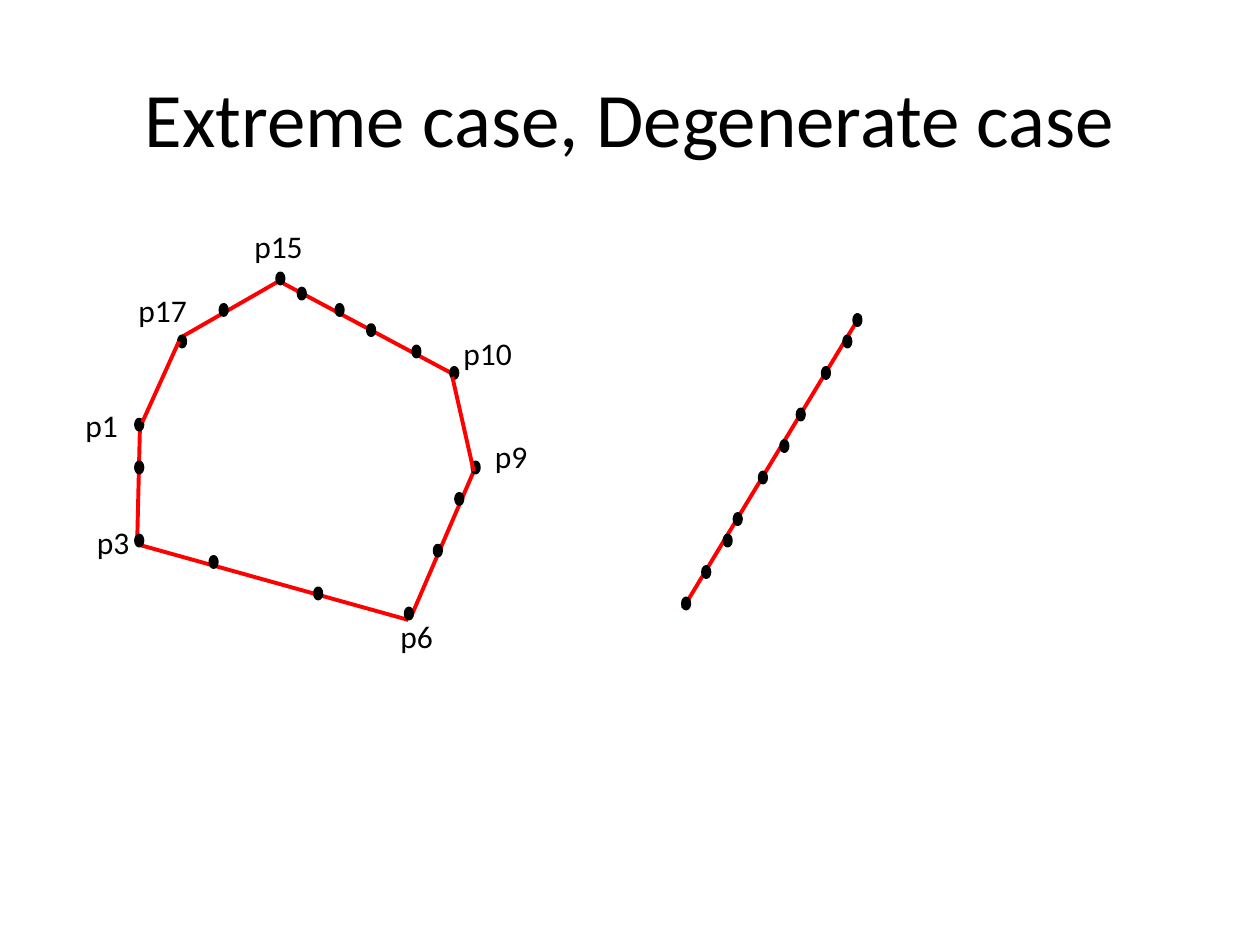
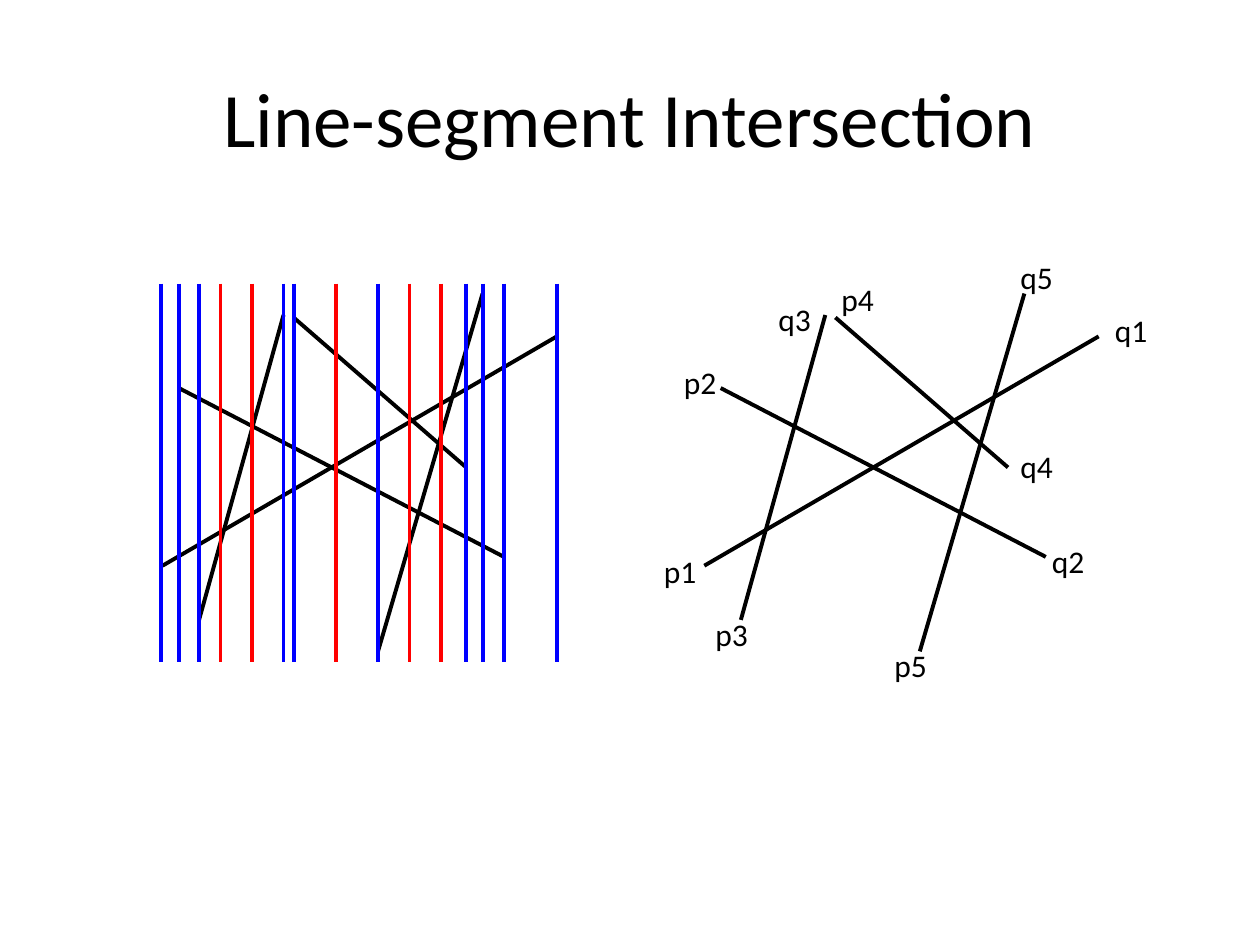
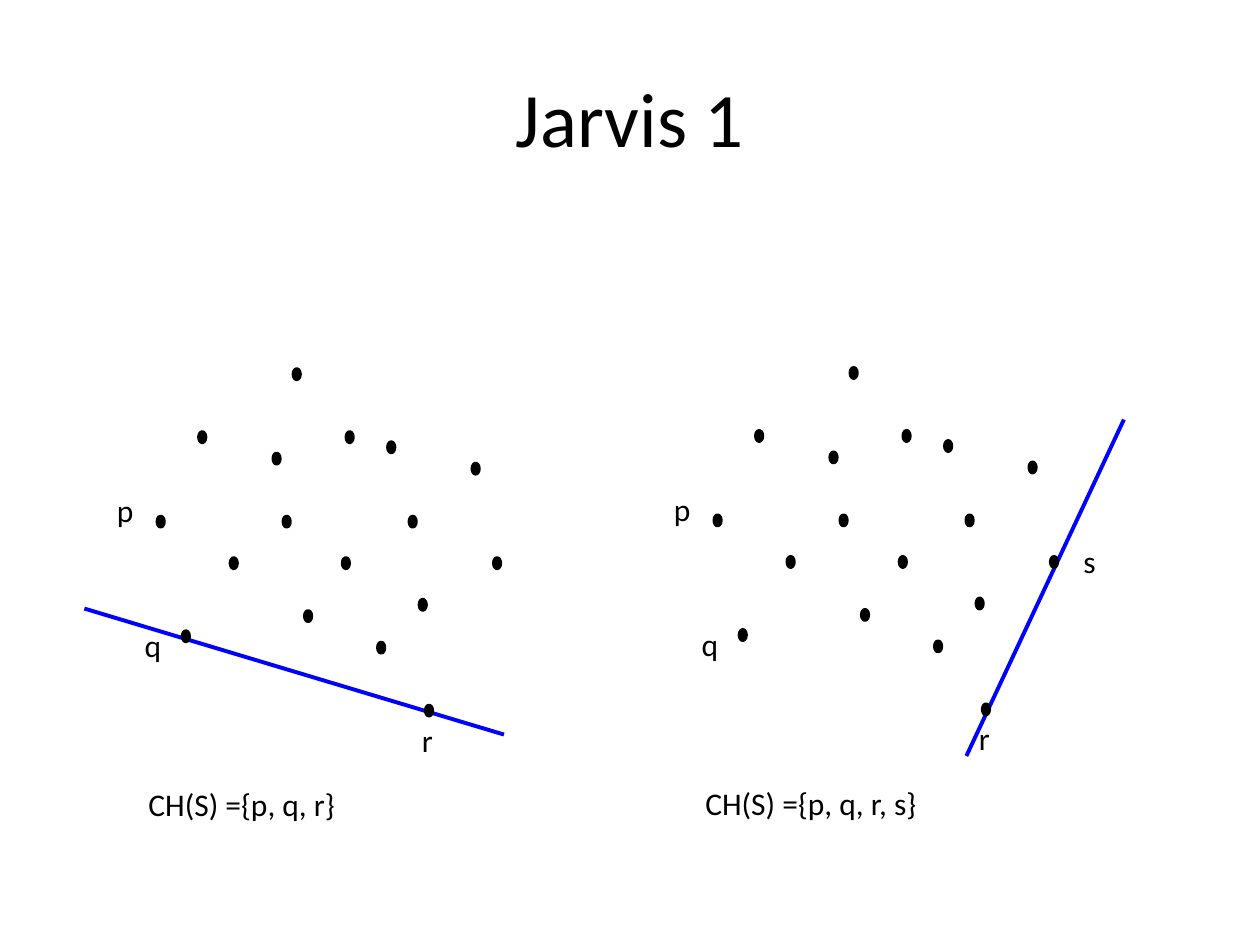
from lxml import etree
from pptx import Presentation
from pptx import util as u
from pptx.dml import color
from pptx.enum import shapes, text
from pptx.oxml import ns

BLACK, RED, BLUE = "000000", "FF0000", "0000FF"


def rgb(value):
    return color.RGBColor.from_string(value)


class Board:
    font_name = "Calibri"
    title_size = 44
    label_size = 18
    line_width = 2.25
    dot_size = (0.05, 0.08)

    def __init__(self):
        self.deck = Presentation()
        self.deck.slide_width = u.Inches(10)
        self.deck.slide_height = u.Inches(7.5)
        self.page = None

    def new_page(self, title):
        self.page = self.deck.slides.add_slide(self.deck.slide_layouts[6])
        box = self.text_box(title, 0.5, 0.3, 9, 1.25, self.title_size, text.PP_ALIGN.CENTER)
        box.text_frame.vertical_anchor = text.MSO_ANCHOR.MIDDLE

    def text_box(self, words, left, top, width, height, size, align=text.PP_ALIGN.LEFT):
        box = self.page.shapes.add_textbox(*map(u.Inches, (left, top, width, height)))
        box.text_frame.word_wrap = True
        box.text_frame.text = words
        para = box.text_frame.paragraphs[0]
        para.alignment = align
        font = para.runs[0].font
        font.name = self.font_name
        font.size = u.Pt(size)
        font.color.rgb = rgb(BLACK)
        return box

    def label(self, words, left, top, width=0.5):
        box = self.text_box(words, left, top, width, 0.4, self.label_size)
        box.text_frame.auto_size = text.MSO_AUTO_SIZE.SHAPE_TO_FIT_TEXT

    def caption(self, words, left, top, width):
        box = self.text_box(words, left, top, width, 0.4, self.label_size, text.PP_ALIGN.JUSTIFY)
        box.text_frame.word_wrap = False

    def line(self, x1, y1, x2, y2, shade):
        link = self.page.shapes.add_connector(
            shapes.MSO_CONNECTOR.STRAIGHT, *map(u.Inches, (x1, y1, x2, y2)))
        link.line.color.rgb = rgb(shade)
        link.line.width = u.Pt(self.line_width)
        etree.SubElement(link._element.spPr, ns.qn("a:effectLst"))

    def dots(self, places, dx=0, dy=0):
        for left, top in places:
            dot = self.page.shapes.add_shape(
                shapes.MSO_SHAPE.OVAL,
                *map(u.Inches, (left + dx, top + dy, *self.dot_size)))
            dot.shadow.inherit = False
            dot.fill.solid()
            dot.fill.fore_color.rgb = rgb(BLACK)
            dot.line.color.rgb = rgb(BLACK)
            dot.line.width = u.Pt(self.line_width)


def degenerate_page(board):
    lower_edges = [
        (6.83, 2.5, 5.42, 4.83), (3.76, 3.74, 3.26, 4.9), (1.09, 4.32, 3.24, 4.92),
        (1.09, 4.26, 1.11, 3.42), (1.45, 2.67, 2.25, 2.21), (2.25, 2.25, 3.58, 2.96),
    ]
    upper_edges = [(1.13, 3.35, 1.42, 2.71), (3.59, 2.99, 3.76, 3.74)]
    hull_points = [
        (1.42, 2.67), (1.08, 3.67), (1.67, 4.42), (1.08, 4.25), (2.2, 2.17),
        (2.67, 2.42), (3.28, 2.75), (3.62, 3.92), (3.58, 2.92), (3.75, 3.67),
        (3.45, 4.33), (3.22, 4.83), (1.75, 2.42), (1.08, 3.33), (2.92, 2.58),
        (2.37, 2.29),
    ]
    collinear_points = [
        (5.42, 4.75), (6.78, 2.5), (6.7, 2.67), (5.75, 4.25), (6.53, 2.92),
        (6.33, 3.25), (6.2, 3.5), (6.03, 3.75), (5.83, 4.08), (5.58, 4.5),
    ]
    corners = [
        ("p1", 0.58, 3.17), ("p3", 0.67, 4.1), ("p6", 3.08, 4.85), ("p9", 3.83, 3.42),
        ("p10", 3.58, 2.6, 0.67), ("p15", 1.92, 1.75, 0.67), ("p17", 1, 2.26, 0.67),
    ]
    board.new_page("Extreme case, Degenerate case")
    for edge in lower_edges:
        board.line(*edge, RED)
    board.dots(hull_points)
    for edge in upper_edges:
        board.line(*edge, RED)
    board.dots([(2.5, 4.67)])
    for corner in corners:
        board.label(*corner)
    board.dots(collinear_points)


def intersection_page(board):
    segments = [
        (4, 4.42, 1.42, 3.08), (3, 5.17, 3.83, 2.33), (1.58, 4.92, 2.25, 2.5),
        (3.7, 3.71, 2.33, 2.52), (4.42, 2.67, 1.29, 4.49),
    ]
    sweeps = [
        (BLUE, (1.28, 1.42, 1.58, 2.25, 2.33, 3, 3.7, 3.83, 4, 4.42)),
        (RED, (1.75, 2, 2.67, 3.25, 3.5)),
    ]
    ends = [
        ("p1", 5.17, 4.33), ("q1", 8.75, 2.42), ("p2", 5.33, 2.83), ("q2", 8.25, 4.25),
        ("p3", 5.58, 4.83), ("q3", 6.08, 2.33), ("p4", 6.58, 2.17), ("q4", 8, 3.5),
        ("p5", 7, 5.08), ("q5", 8, 2),
    ]
    shift = 4.3
    board.new_page("Line-segment Intersection")
    for segment in segments:
        board.line(*segment, BLACK)
    for shade, stops in sweeps:
        for x in stops:
            board.line(x, 2.25, x, 5.25, shade)
    for x1, y1, x2, y2 in segments:
        board.line(x1 + shift, y1, x2 + shift, y2, BLACK)
    for end in ends:
        board.label(*end)


def jarvis_page(board):
    points = [
        (1.58, 3.43), (1.83, 4.43), (2.42, 4.85), (1.45, 5.01), (2.33, 2.93),
        (2.75, 3.43), (3.25, 4.1), (2.72, 4.43), (3.75, 3.68), (3.92, 4.43),
        (3.33, 4.76), (3.38, 5.6), (2.17, 3.6), (1.25, 4.1), (3.08, 3.51),
        (2.25, 4.1), (3, 5.1),
    ]
    names = [("p", 0.83, 3.85), ("q", 1.05, 4.92), ("r", 3.25, 5.67)]
    steps = [
        (0, 0, (0.67, 4.83, 4, 5.83), "CH(S) ={p, q, r}", 1.7),
        (4.42, -0.01, (7.67, 6, 8.92, 3.33), "CH(S) ={p, q, r, s}", 1.9),
    ]
    board.new_page("Jarvis 1")
    for dx, dy, tangent, hull, width in steps:
        board.line(*tangent, BLUE)
        board.dots(points, dx, dy)
        for name, left, top in names:
            board.label(name, left + dx, top + dy)
        board.caption(hull, 1.08 + dx, 6.18 + dy, width)
    board.label("s", 8.5, 4.25)


def main():
    board = Board()
    degenerate_page(board)
    intersection_page(board)
    jarvis_page(board)
    board.deck.save("out.pptx")


if __name__ == "__main__":
    main()
